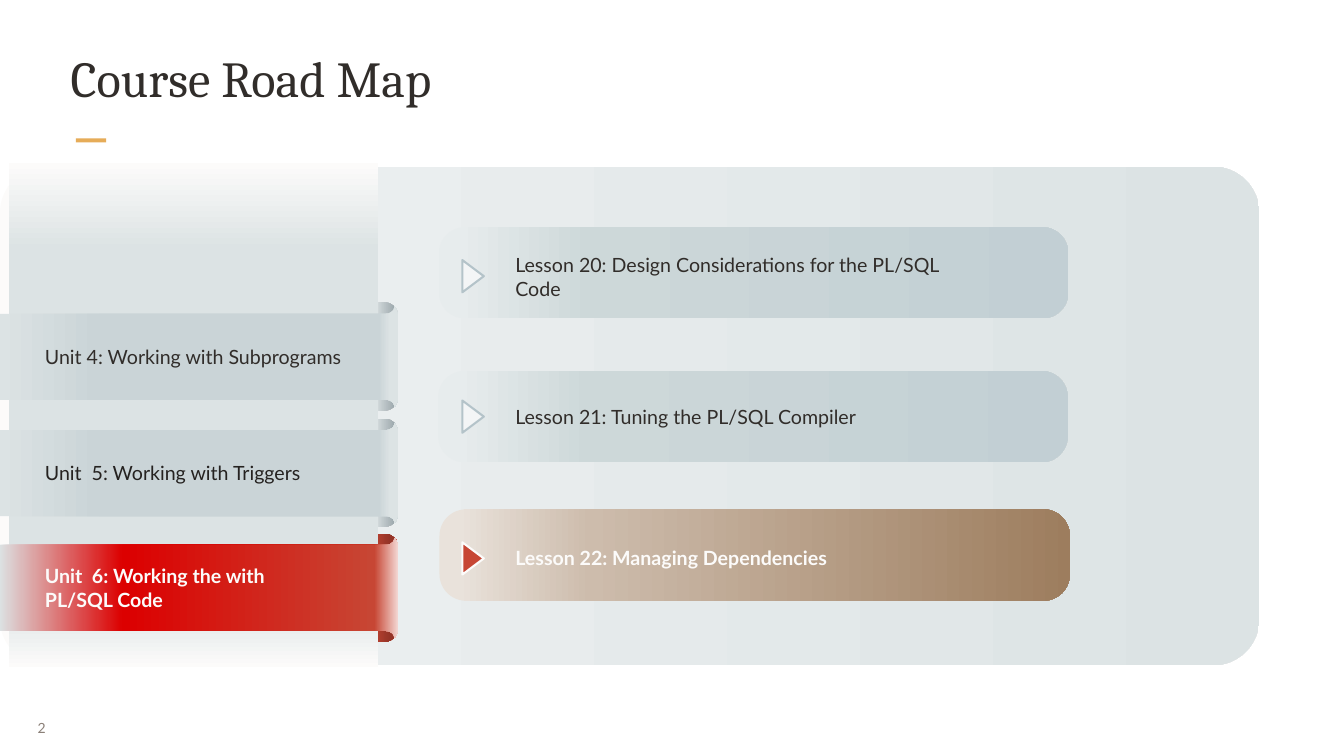
from pptx import Presentation
from pptx.dml.color import RGBColor
from pptx.enum.shapes import MSO_SHAPE
from pptx.enum.text import MSO_ANCHOR, PP_ALIGN
from pptx.oxml.ns import qn
from pptx.util import Inches, Pt
from lxml import etree

INK, LIGHT, MIST = "312D2A", "FCFBFA", "DCE3E4"
RED, DARK_RED = "C74634", "953427"
GREY_FOLD = [(77, "DEE4E5"), (99, "96A2A7")]
RED_FOLD = [(73, RED), (92, DARK_RED)]
GREY_RIBBON = [(0, MIST), (25, "CAD4D7"), (95, "CAD4D7"), (98, MIST)]
RED_RIBBON = [(0, MIST), (31, "DC0000"), (94, RED), (100, "F4DAD6")]
GREY_BAR = [(3, "E7ECED"), (24, "CDD8D9"), (100, "C2CFD4")]
BROWN_BAR = [(3, "E9E2DB"), (24, "CDBCAC"), (100, "9D7D5E")]


def color(value):
    return RGBColor.from_string(value)


def paint(shape, fill, angle=0):
    """Fill with one colour, or with a list of (percent, colour) stops."""
    shape.shadow.inherit = False
    shape.line.fill.background()
    if isinstance(fill, str):
        shape.fill.solid()
        shape.fill.fore_color.rgb = color(fill)
        return
    shape.fill.gradient()
    shape.fill.gradient_angle = angle
    stops = shape._element.spPr.find(qn("a:gradFill")).find(qn("a:gsLst"))
    for stop in list(stops):
        stops.remove(stop)
    for percent, value in fill:
        stop = etree.SubElement(stops, qn("a:gs"), pos=str(percent * 1000))
        etree.SubElement(stop, qn("a:srgbClr"), val=value)


def add_block(page, kind, box, fill, corner=None, angle=0):
    shape = page.shapes.add_shape(kind, *map(Inches, box))
    if corner is not None:
        shape.adjustments[0] = corner
    paint(shape, fill, angle)
    return shape


def add_text(page, box, text, size=21, value=INK, font="Lato", bold=False,
             anchor=MSO_ANCHOR.MIDDLE, inset=(0.1, 0.05), wrap=True):
    frame = page.shapes.add_textbox(*map(Inches, box)).text_frame
    frame.word_wrap = wrap
    frame.vertical_anchor = anchor
    frame.margin_left = frame.margin_right = Inches(inset[0])
    frame.margin_top = frame.margin_bottom = Inches(inset[1])
    frame.text = text
    para = frame.paragraphs[0]
    para.font.size = Pt(size)
    para.font.name = font
    para.font.bold = bold
    para.font.color.rgb = color(value)
    return para


def curve(start, control_a, control_b, end, steps=8):
    """Points along a cubic curve, without its start."""
    points = []
    for step in range(1, steps + 1):
        t = step / steps
        weights = ((1 - t) ** 3, 3 * t * (1 - t) ** 2, 3 * t * t * (1 - t), t ** 3)
        nodes = (start, control_a, control_b, end)
        points.append(tuple(sum(w * node[axis] for w, node in zip(weights, nodes))
                            for axis in (0, 1)))
    return points


def add_ribbon(page, box, fill):
    """A band whose right end flares up and down around the folded tab."""
    left, top, width, height = box
    right, middle = left + width, top + height / 2
    tip, notch, neck = right - 0.06, right - 0.07, right - 0.19
    upper = [(left, top + 0.19), (left + 0.01, top + 0.11), (neck, top + 0.11)]
    upper += curve((neck, top + 0.11), (right - 0.14, top + 0.11),
                   (right - 0.1, top + 0.09), (notch, top + 0.05))
    upper += [(tip, top)]
    upper += curve((tip, top), (right - 0.02, top + 0.05),
                   (right, top + 0.12), (right, top + 0.19))
    lower = [(x, 2 * middle - y) for x, y in reversed(upper)]
    points = [(Inches(x), Inches(y)) for x, y in upper + lower]
    builder = page.shapes.build_freeform(*points[0])
    builder.add_line_segments(points[1:], close=True)
    paint(builder.convert_to_shape(), fill)


def add_header(page, box):
    left, top, width, height = box
    add_block(page, MSO_SHAPE.RECTANGLE, (left + 0.11, 2.06, 0.45, 0.06), "E6AC58")
    add_text(page, box, "Course Road Map", 54, font="Cambria",
             anchor=MSO_ANCHOR.TOP, inset=(0.03, 0.03))


def add_units(page, box):
    units = [
        (4.56, "Unit 4: Working with Subprograms", 4.81, 0.45, INK, GREY_FOLD, GREY_RIBBON),
        (6.29, "Unit  5: Working with Triggers", 5.09, 0.45, "252220", GREY_FOLD, GREY_RIBBON),
        (8.0, "Unit  6: Working the with PL/SQL Code", 4.44, 0.81, LIGHT, RED_FOLD, RED_RIBBON),
    ]
    # Folded tabs lie behind the fading panel, ribbons in front of it
    for top, *_, fold, ribbon in units:
        add_block(page, MSO_SHAPE.ROUNDED_RECTANGLE, (4.34, top - 0.06, 1.58, 1.61), fold, 0.126)
    add_block(page, MSO_SHAPE.RECTANGLE, box,
              [(0, LIGHT), (17, MIST), (87, MIST), (100, LIGHT)], angle=270)
    for top, text, width, height, value, fold, ribbon in units:
        add_ribbon(page, (-0.02, top, 5.95, 1.5), ribbon)
        add_text(page, (0.57, top + 0.745 - height / 2, width, height), text,
                 value=value, bold=value == LIGHT)


def add_lesson(page, box, text, text_box, arrow_top, current=False):
    add_block(page, MSO_SHAPE.ROUNDED_RECTANGLE, box,
              BROWN_BAR if current else GREY_BAR, 0.289)
    arrow = add_block(page, MSO_SHAPE.ISOSCELES_TRIANGLE, (6.8, arrow_top, 0.48, 0.32),
                      RED if current else "F3F5F6")
    arrow.rotation = 90
    arrow.line.color.rgb = color(LIGHT if current else "B4C3C9")
    arrow.line.width = Pt(2.25)
    add_text(page, text_box, text, value=LIGHT if current else INK, bold=current)


def add_page_number(page, box):
    para = add_text(page, box, "2", 15, "8B8078", inset=(0.13, 0.07), wrap=False)
    para.alignment = PP_ALIGN.JUSTIFY


def main():
    deck = Presentation()
    deck.slide_width, deck.slide_height = Inches(20), Inches(11.25)
    page = deck.slides.add_slide(deck.slide_layouts[6])

    add_header(page, (1.02, 0.67, 17.96, 1.28))
    add_page_number(page, (0.43, 10.54, 0.65, 0.58))
    # Wide panel behind units and lessons
    add_block(page, MSO_SHAPE.ROUNDED_RECTANGLE, (0, 2.48, 18.74, 7.42),
              [(0, LIGHT), (26, "EAEEEF"), (100, MIST)], 0.093)
    add_units(page, (0.13, 2.43, 5.5, 7.5))
    add_lesson(page, (6.53, 3.38, 9.37, 1.36),
               "Lesson 20: Design Considerations for the PL/SQL Code",
               (7.57, 3.71, 6.7, 0.81), 3.95)
    add_lesson(page, (6.52, 5.52, 9.37, 1.36), "Lesson 21: Tuning the PL/SQL Compiler",
               (7.57, 5.97, 7.14, 0.45), 6.04)
    add_lesson(page, (6.54, 7.58, 9.38, 1.36), "Lesson 22: Managing Dependencies",
               (7.57, 8.08, 6.7, 0.45), 8.15, current=True)
    deck.save("out.pptx")


if __name__ == "__main__":
    main()
